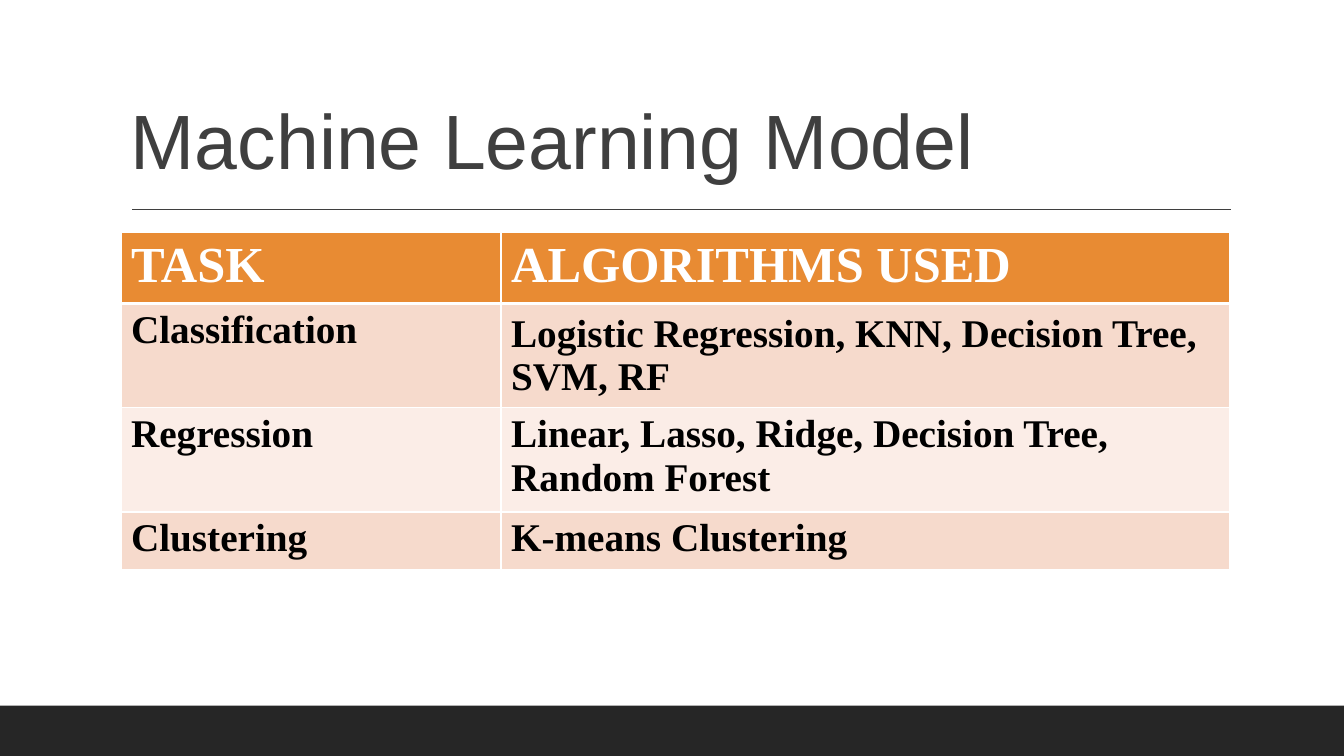
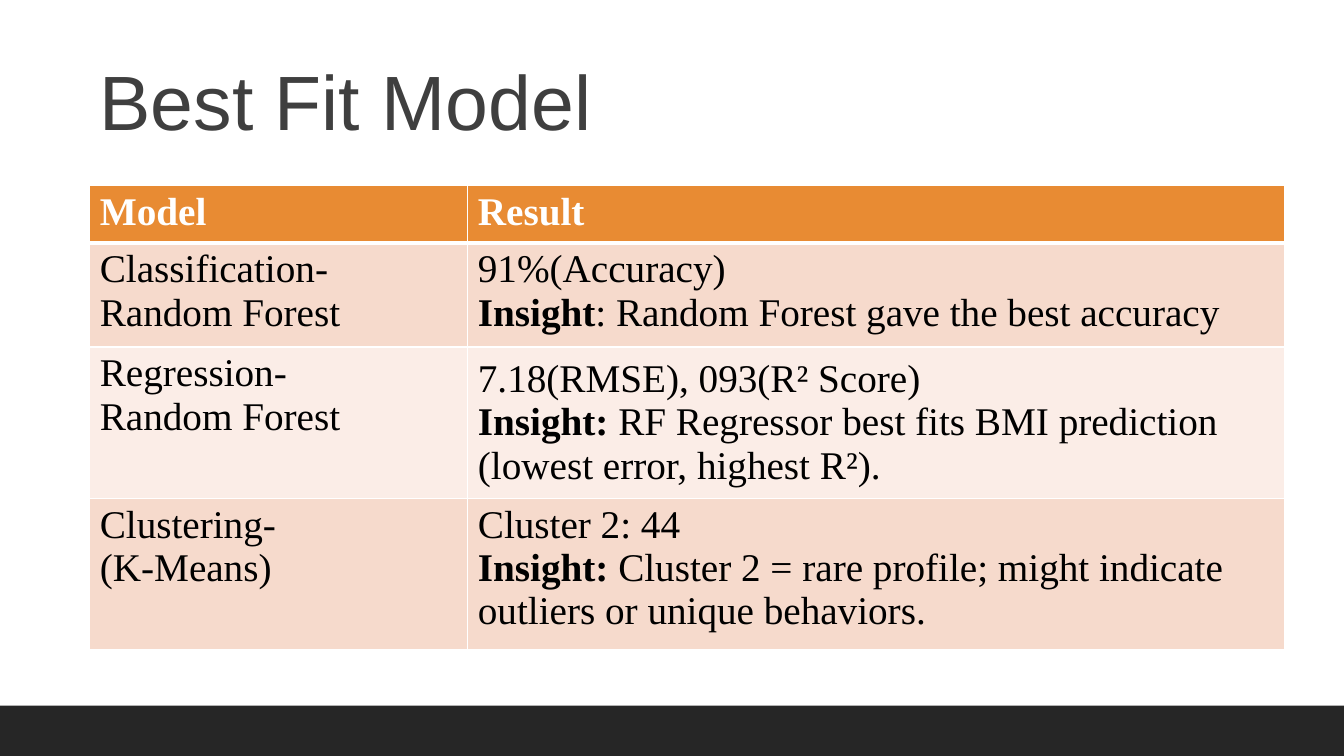
from lxml import etree
from pptx import Presentation
from pptx.dml.color import RGBColor
from pptx.enum import shapes, text
from pptx.oxml.ns import qn
from pptx.util import Inches, Pt

COLOURS = {
    "ink": "3F3F3F",
    "band": "262626",
    "header": "E88B33",
    "odd_row": "F6DACC",
    "even_row": "FBEDE7",
    "white": "FFFFFF",
    "black": "000000",
}
TITLE_FONT, TABLE_FONT = "Arial", "Times New Roman"
SLIDE_WIDTH, SLIDE_HEIGHT, BAND_HEIGHT = 13.33, 7.5, 0.5


def colour(key):
    """Return the palette colour for a key."""
    return RGBColor.from_string(COLOURS[key])


def write(frame, paragraphs, *, size, font, ink, bold=False, spacing=None):
    """Write paragraphs; a (lead, rest) pair gets a bold lead."""
    frame.word_wrap = True
    for index, content in enumerate(paragraphs):
        paragraph = frame.paragraphs[0] if index == 0 else frame.add_paragraph()
        if spacing:
            paragraph.line_spacing = spacing
        runs = [(content, bold)] if isinstance(content, str) else zip(content, (True, bold))
        for words, is_bold in runs:
            run = paragraph.add_run()
            run.text = words
            run.font.name, run.font.size, run.font.bold = font, Pt(size), is_bold
            run.font.color.rgb = colour(ink)


def add_base(slide):
    """Draw the bottom band and the rule below the title."""
    band = slide.shapes.add_shape(
        shapes.MSO_SHAPE.RECTANGLE, 0, Inches(SLIDE_HEIGHT - BAND_HEIGHT),
        Inches(SLIDE_WIDTH), Inches(BAND_HEIGHT))
    band.shadow.inherit = False
    band.fill.solid()
    band.fill.fore_color.rgb = colour("band")
    band.line.fill.background()
    rule = slide.shapes.add_connector(
        shapes.MSO_CONNECTOR.STRAIGHT, Inches(1.31), Inches(2.08), Inches(12.21), Inches(2.08))
    rule.line.color.rgb = colour("ink")
    rule.line.width = Pt(1)
    etree.SubElement(rule._element.spPr, qn("a:effectLst"))


def add_title(slide, title, box):
    """Place a bottom-anchored title in its box."""
    frame = slide.shapes.add_textbox(*map(Inches, box)).text_frame
    frame.vertical_anchor = text.MSO_ANCHOR.BOTTOM
    write(frame, [title], size=55, font=TITLE_FONT, ink="ink", spacing=0.9)


def set_borders(cell, **widths):
    """Give a cell white borders, with widths in points by side."""
    properties = cell._tc.get_or_add_tcPr()
    for index, side in enumerate("LRTB"):
        border = etree.Element(qn(f"a:ln{side}"), w=str(Pt(widths.get(side, 1))))
        fill = etree.SubElement(border, qn("a:solidFill"))
        etree.SubElement(fill, qn("a:srgbClr"), val=COLOURS["white"])
        properties.insert(index, border)


def add_grid(slide, left, top, columns, heights, rows, *, header_size, body_bold, middle):
    """Place a banded table, with middle listing the centred cells."""
    table = slide.shapes.add_table(
        len(rows), len(columns), Inches(left), Inches(top),
        Inches(sum(columns)), Inches(sum(heights))).table
    for column, width in zip(table.columns, columns):
        column.width = Inches(width)
    for r, (row, height) in enumerate(zip(rows, heights)):
        table.rows[r].height = Inches(height)
        is_header = r == 0
        band = "header" if is_header else "odd_row" if r % 2 else "even_row"
        for c, paragraphs in enumerate(row):
            cell = table.cell(r, c)
            cell.margin_left = cell.margin_right = Inches(0.1)
            cell.margin_top = cell.margin_bottom = Inches(0.05)
            cell.fill.solid()
            cell.fill.fore_color.rgb = colour(band)
            set_borders(cell, T=3 if r == 1 else 1, B=3 if is_header else 1)
            if (r, c) in middle:
                cell.vertical_anchor = text.MSO_ANCHOR.MIDDLE
            write(cell.text_frame, paragraphs, font=TABLE_FONT,
                  size=header_size if is_header else 28,
                  ink="white" if is_header else "black",
                  bold=is_header or body_bold)


def add_table_slide(deck, title, title_box, **grid):
    """Add a slide with the shared base, a title and a table."""
    slide = deck.slides.add_slide(deck.slide_layouts[6])
    add_base(slide)
    add_title(slide, title, title_box)
    add_grid(slide, **grid)


ALGORITHMS = [
    (["TASK"], ["ALGORITHMS USED"]),
    (["Classification"], ["Logistic Regression, KNN, Decision Tree, SVM, RF"]),
    (["Regression"], ["Linear, Lasso, Ridge, Decision Tree, Random Forest"]),
    (["Clustering"], ["K-means Clustering"]),
]
RESULTS = [
    (["Model"], ["Result"]),
    (["Classification- Random Forest"],
     ["91%(Accuracy)", ("Insight", ": Random Forest gave the best accuracy")]),
    (["Regression-", "Random Forest"],
     ["7.18(RMSE), 093(R² Score)",
      ("Insight:", " RF Regressor best fits BMI prediction (lowest error, highest R²).")]),
    (["Clustering-", "(K-Means)"],
     ["Cluster 2: 44",
      ("Insight:", " Cluster 2 = rare profile; might indicate outliers or unique behaviors.")]),
]


def main():
    """Build and save the deck."""
    deck = Presentation()
    deck.slide_width, deck.slide_height = Inches(SLIDE_WIDTH), Inches(SLIDE_HEIGHT)
    add_table_slide(
        deck, "Machine Learning Model", (1.2, 0.31, 11, 1.59),
        left=1.2, top=2.31, columns=(3.77, 7.23), heights=(0.65, 0.96, 0.96, 0.53),
        rows=ALGORITHMS, header_size=36, body_bold=True, middle={(1, 1)})
    add_table_slide(
        deck, "Best Fit Model", (0.89, 0.33, 11, 1.18),
        left=0.89, top=1.84, columns=(3.75, 8.1), heights=(0.53, 0.96, 1.39, 1.39),
        rows=RESULTS, header_size=28, body_bold=False, middle={(2, 1)})
    deck.save("out.pptx")


if __name__ == "__main__":
    main()
